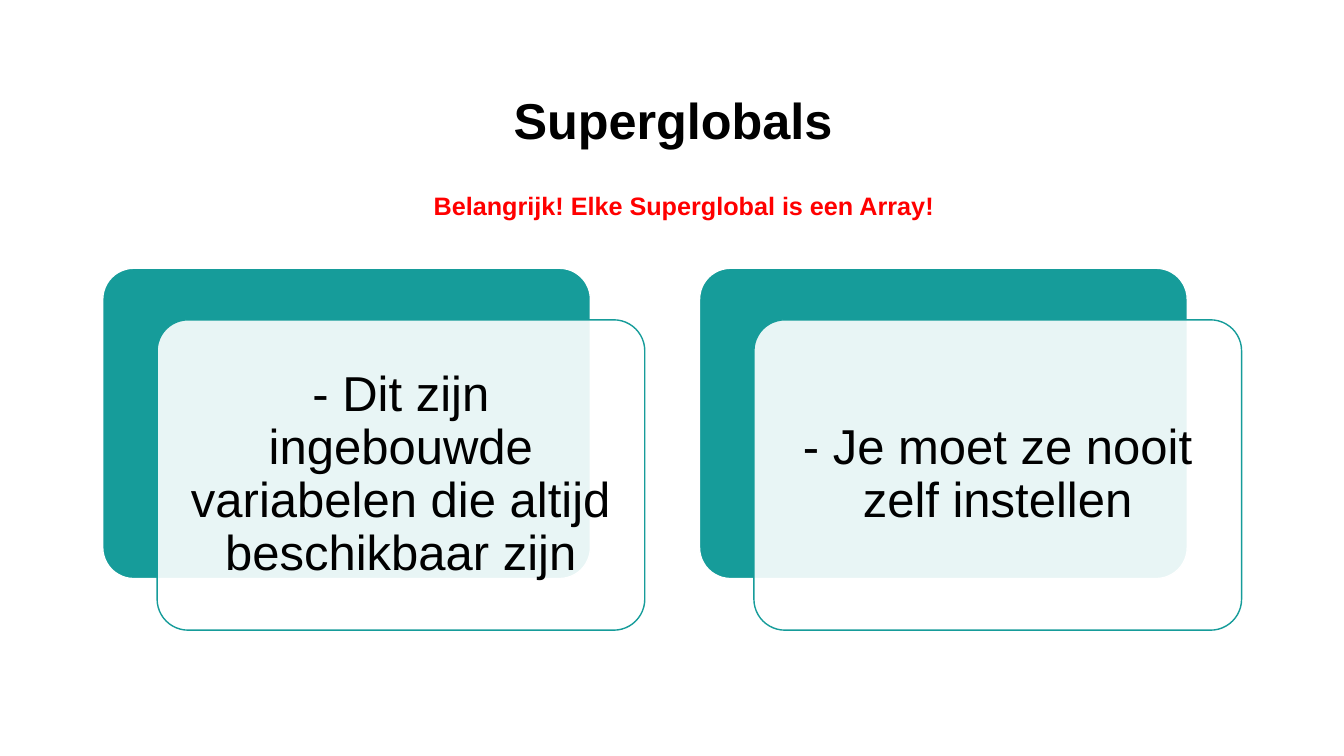
from pptx import Presentation
from pptx import util as u
from pptx.dml.color import RGBColor
from pptx.enum import shapes, text
from pptx.oxml import parse_xml
from pptx.oxml.ns import nsdecls, qn

TEAL = RGBColor(0x16, 0x9C, 0x9A)
WHITE = RGBColor(0xFF, 0xFF, 0xFF)
BLACK = RGBColor(0, 0, 0)
RED = RGBColor(0xFF, 0, 0)

HEADING = "Superglobals"
WARNING = "Belangrijk! Elke Superglobal is een Array!"
FACTS = [
    "- Dit zijn ingebouwde variabelen die altijd beschikbaar zijn",
    "- Je moet ze nooit zelf instellen",
]

HEADING_BOX = (4.24, 1.52, 25.45, 3.15)
WARNING_BOX = (8.84, 4.67, 16.79, 1.02)
CARD_LEFT, CARD_TOP, CARD_WIDTH, CARD_HEIGHT = 2.59, 6.76, 12.29, 7.82
CARD_STEP = 15.04
SHIFT_X, SHIFT_Y = 1.37, 1.3
FACT_INSET = 0.23

HEADING_FONT = {"size": u.Pt(36), "bold": True, "color": BLACK}
WARNING_FONT = {"size": u.Pt(18), "bold": True, "color": RED}
FACT_FONT = {"size": u.Pt(35), "bold": False, "color": BLACK}
HEADING_SPACING = {"line_spacing": 0.9, "space_before": u.Pt(0), "space_after": u.Pt(6)}
FACT_SPACING = {"line_spacing": 0.9, "space_after": u.Pt(12)}
FACT_MARGINS = dict.fromkeys(
    ("margin_left", "margin_right", "margin_top", "margin_bottom"), u.Cm(0.38))


def lengths(box):
    """Return the box as lengths."""
    return [u.Cm(value) for value in box]


def apply(target, values):
    """Set every attribute in values on target."""
    for key, value in values.items():
        setattr(target, key, value)


def write(holder, words, font, spacing, frame_format):
    """Write one centred paragraph into holder."""
    frame = holder.text_frame
    apply(frame, {"word_wrap": True, "auto_size": text.MSO_AUTO_SIZE.NONE, **frame_format})
    paragraph = frame.paragraphs[0]
    apply(paragraph, {"alignment": text.PP_ALIGN.CENTER, **spacing})
    run = paragraph.add_run()
    run.text = words
    apply(run.font, {"name": "Arial", "size": font["size"], "bold": font["bold"]})
    run.font.color.rgb = font["color"]


def add_card(slide, box, fill, outline, opacity):
    """Add a rounded card with the given opacity in percent."""
    card = slide.shapes.add_shape(shapes.MSO_SHAPE.ROUNDED_RECTANGLE, *lengths(box))
    card.adjustments[0] = 0.1
    card.shadow.inherit = False
    card.fill.solid()
    card.fill.fore_color.rgb = fill
    card.line.color.rgb = outline
    card.line.width = u.Pt(1)
    if opacity < 100:
        color = card.fill._xPr.find(qn("a:solidFill"))[0]
        color.append(parse_xml(f'<a:alpha {nsdecls("a")} val="{opacity * 1000}"/>'))


def main():
    """Build the slide and save it."""
    deck = Presentation()
    apply(deck, {"slide_width": u.Cm(33.87), "slide_height": u.Cm(19.05)})
    slide = deck.slides.add_slide(deck.slide_layouts[5])
    middle = {"vertical_anchor": text.MSO_ANCHOR.MIDDLE}

    heading = slide.shapes.title
    apply(heading, dict(zip(("left", "top", "width", "height"), lengths(HEADING_BOX))))
    write(heading, HEADING, HEADING_FONT, HEADING_SPACING, middle)

    for index, fact in enumerate(FACTS):
        left = CARD_LEFT + index * CARD_STEP
        front_left, front_top = left + SHIFT_X, CARD_TOP + SHIFT_Y
        size = (CARD_WIDTH, CARD_HEIGHT)
        add_card(slide, (left, CARD_TOP, *size), TEAL, WHITE, 100)
        add_card(slide, (front_left, front_top, *size), WHITE, TEAL, 90)
        fact_box = (front_left + FACT_INSET, front_top + FACT_INSET,
                    CARD_WIDTH - 2 * FACT_INSET, CARD_HEIGHT - 2 * FACT_INSET)
        label = slide.shapes.add_textbox(*lengths(fact_box))
        write(label, fact, FACT_FONT, FACT_SPACING, {**middle, **FACT_MARGINS})

    warning = slide.shapes.add_textbox(*lengths(WARNING_BOX))
    write(warning, WARNING, WARNING_FONT, {},
          {"auto_size": text.MSO_AUTO_SIZE.SHAPE_TO_FIT_TEXT})
    deck.save("out.pptx")


if __name__ == "__main__":
    main()
